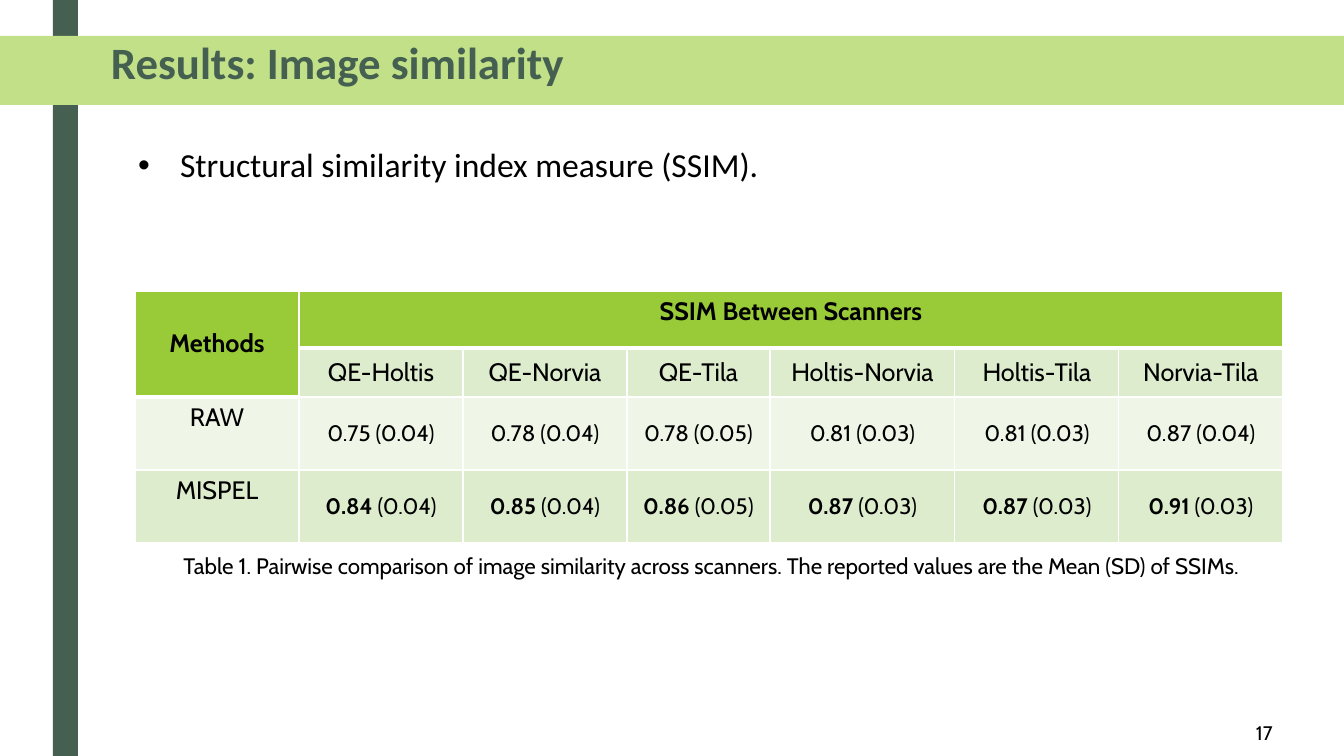
from lxml.etree import SubElement
from pptx import Presentation
from pptx.dml.color import RGBColor
from pptx.enum.shapes import MSO_SHAPE
from pptx.enum.text import MSO_ANCHOR, MSO_AUTO_SIZE, PP_ALIGN
from pptx.oxml.ns import qn
from pptx.util import Pt

TITLE = "Results: Image similarity"
BULLET = "Structural similarity index measure (SSIM)."
CAPTION = ("Table 1. Pairwise comparison of image similarity across scanners. "
           "The reported values are the Mean (SD) of SSIMs.")
PAGE_NUMBER = "17"
ROWS = [
    ["Methods", "SSIM Between Scanners", "", "", "", "", ""],
    ["", "QE-Holtis", "QE-Norvia", "QE-Tila", "Holtis-Norvia", "Holtis-Tila", "Norvia-Tila"],
    ["RAW", "0.75 (0.04)", "0.78 (0.04)", "0.78 (0.05)", "0.81 (0.03)", "0.81 (0.03)", "0.87 (0.04)"],
    ["MISPEL", "0.84 (0.04)", "0.85 (0.04)", "0.86 (0.05)", "0.87 (0.03)", "0.87 (0.03)", "0.91 (0.03)"],
]
BEST_ROW = 3
COLUMN_WIDTHS = [164, 164, 164, 143, 185, 164, 164]
ROW_HEIGHTS = [57, 49, 73, 73]
ROW_FILLS = ["99CB38", "DEECCE", "EFF6E8", "DEECCE"]
DARK, LIGHT, BLACK, WHITE = "455F51", "C2E088", "000000", "FFFFFF"
EMU_PER_PX = 914400 / 100.8


def px(length):
    return round(length * EMU_PER_PX)


def color(value):
    return RGBColor.from_string(value)


def paint(shape, value):
    shape.fill.solid()
    shape.fill.fore_color.rgb = color(value)


def set_font(paragraph, name, size, value=BLACK, bold=False):
    font = paragraph.font
    font.name, font.size, font.bold = name, Pt(size), bold
    font.color.rgb = color(value)


def place(shape, left, top, width, height):
    shape.left, shape.top = px(left), px(top)
    shape.width, shape.height = px(width), px(height)


def add_text(slide, text, box, size, align, wrap):
    frame = slide.shapes.add_textbox(*map(px, box)).text_frame
    frame.word_wrap = wrap
    paragraph = frame.paragraphs[0]
    paragraph.text, paragraph.alignment = text, align
    set_font(paragraph, "Cabin", size)


def is_header(row, column):
    return row == 0 or (row, column) == (1, 0)


def add_borders(cell, row, column):
    top = 3 if row and is_header(row - 1, column) else 1
    bottom = 3 if is_header(row, column) else 1
    properties = cell._tc.get_or_add_tcPr()
    for side, width in (("L", 1), ("R", 1), ("T", top), ("B", bottom)):
        line = SubElement(properties, qn(f"a:ln{side}"), w=str(Pt(width)))
        solid = SubElement(line, qn("a:solidFill"))
        SubElement(solid, qn("a:srgbClr"), val=WHITE)


def fill_cell(cell, row, column):
    header = is_header(row, column)
    add_borders(cell, row, column)
    paint(cell, ROW_FILLS[0] if header else ROW_FILLS[row])
    at_top = (row == 0 and column > 0) or (row > 1 and column == 0)
    cell.vertical_anchor = MSO_ANCHOR.TOP if at_top else MSO_ANCHOR.MIDDLE
    paragraph = cell.text_frame.paragraphs[0]
    paragraph.alignment = PP_ALIGN.CENTER
    is_value = row > 1 and column > 0
    set_font(paragraph, "Cabin", 16 if is_value else 18, bold=header)
    text = ROWS[row][column]
    if is_value and row == BEST_ROW:
        mean, deviation = text.split(" ")
        paragraph.add_run().text = mean
        paragraph.runs[0].font.bold = True
        paragraph.add_run().text = " " + deviation
    elif text:
        paragraph.add_run().text = text


def add_title(slide):
    title = slide.shapes.title
    place(title, 0, 36, 1344, 69)
    paint(title, LIGHT)
    frame = title.text_frame
    frame.auto_size = MSO_AUTO_SIZE.NONE
    frame.vertical_anchor = MSO_ANCHOR.TOP
    frame.margin_left, frame.margin_top = px(111), px(5)
    paragraph = frame.paragraphs[0]
    paragraph.text, paragraph.alignment = TITLE, PP_ALIGN.LEFT
    paragraph.line_spacing = 0.89
    set_font(paragraph, "Calibri", 32, DARK, True)
    bar = slide.shapes.add_shape(MSO_SHAPE.RECTANGLE, px(53), 0, px(25), px(756))
    bar.shadow.inherit = False
    paint(bar, DARK)
    bar.line.fill.background()
    title.element.addprevious(bar.element)


def add_bullet(slide):
    body = slide.placeholders[1]
    place(body, 128, 142, 762, 70)
    body.text_frame.auto_size = MSO_AUTO_SIZE.NONE
    paragraph = body.text_frame.paragraphs[0]
    paragraph.text = BULLET
    properties = paragraph._p.get_or_add_pPr()
    properties.set("marL", str(px(42)))
    properties.set("indent", str(-px(42)))
    paragraph.line_spacing = 0.94
    paragraph.space_before, paragraph.space_after = Pt(0), Pt(2)
    SubElement(properties, qn("a:buFont"), typeface="Arial")
    SubElement(properties, qn("a:buChar"), char="•")
    set_font(paragraph, "Calibri", 24)


def add_similarity_table(slide):
    frame = slide.shapes.add_table(len(ROWS), len(COLUMN_WIDTHS), px(135), px(291),
                                   px(sum(COLUMN_WIDTHS)), px(sum(ROW_HEIGHTS)))
    table = frame.table
    table.first_row = table.horz_banding = False
    for column, width in zip(table.columns, COLUMN_WIDTHS):
        column.width = px(width)
    for row, height in zip(table.rows, ROW_HEIGHTS):
        row.height = px(height)
    for row in range(len(ROWS)):
        for column in range(len(COLUMN_WIDTHS)):
            fill_cell(table.cell(row, column), row, column)
    table.cell(0, 0).merge(table.cell(1, 0))
    table.cell(0, 1).merge(table.cell(0, len(COLUMN_WIDTHS) - 1))


def main():
    presentation = Presentation()
    presentation.slide_width, presentation.slide_height = px(1344), px(756)
    slide = presentation.slides.add_slide(presentation.slide_layouts[1])
    add_title(slide)
    add_bullet(slide)
    add_similarity_table(slide)
    add_text(slide, CAPTION, (145, 547, 1133, 37), 16, PP_ALIGN.CENTER, True)
    add_text(slide, PAGE_NUMBER, (1246, 716, 45, 34), 14, PP_ALIGN.LEFT, False)
    presentation.save("out.pptx")


if __name__ == "__main__":
    main()
